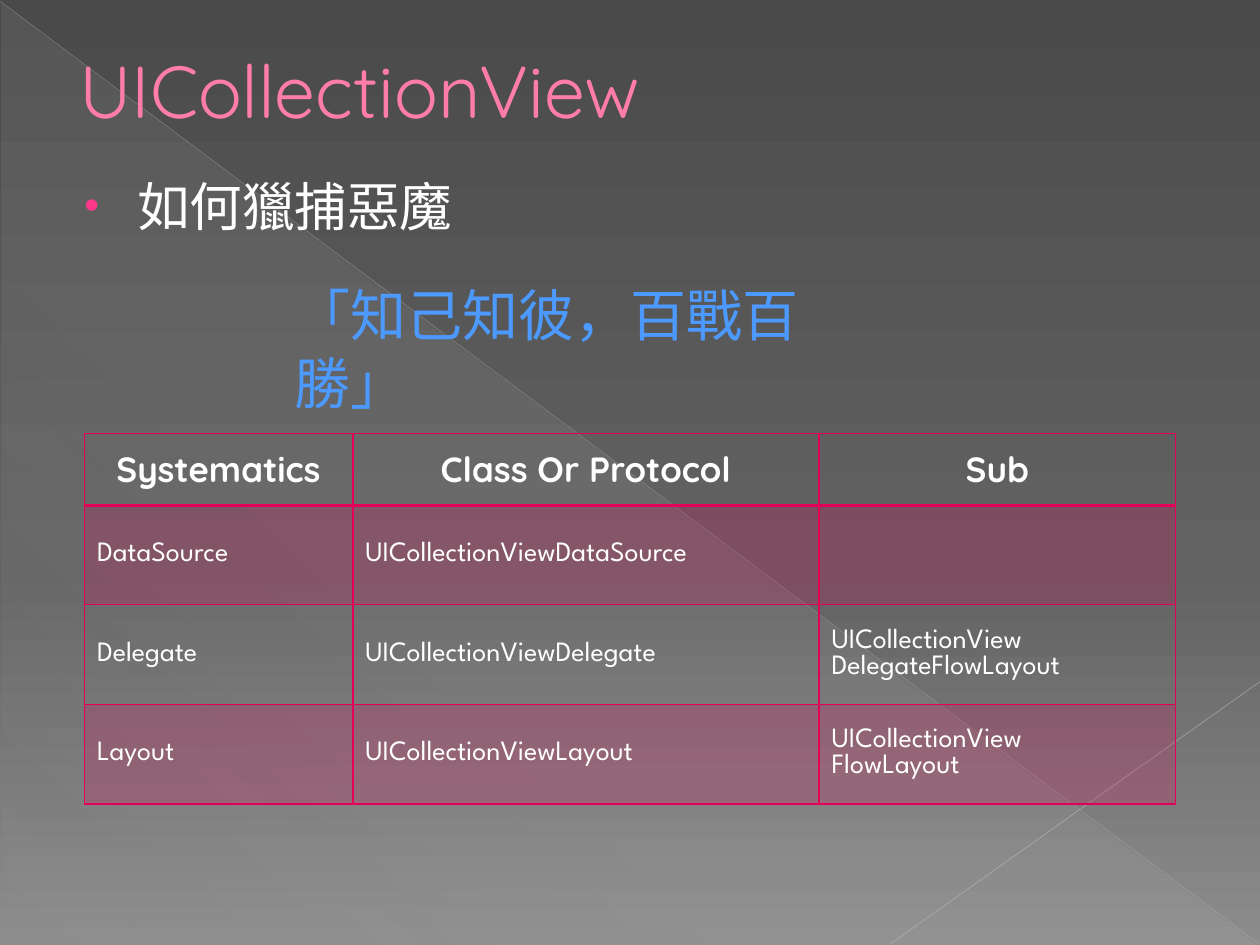
import lxml.etree
import pptx
import pptx.dml.color
import pptx.enum.shapes
import pptx.enum.text
import pptx.oxml.ns
import pptx.util

Inches, Pt = pptx.util.Inches, pptx.util.Pt
qn = pptx.oxml.ns.qn
ALIGN = pptx.enum.text.PP_ALIGN
ANCHOR = pptx.enum.text.MSO_ANCHOR
AUTO_SIZE = pptx.enum.text.MSO_AUTO_SIZE

COLORS = {
    "dark": "4A4A4A", "middle": "626262", "light": "8C8C8C",
    "veil": "D2D2D2", "diagonal": "BFBFBF", "corner": "C6C6C6",
    "title": "FF7DA7", "title_edge": "B12761", "bullet": "FF388C",
    "text": "FFFFFF", "quote": "4C99FF", "grid": "E40059",
}


def rgb(name):
    return pptx.dml.color.RGBColor.from_string(COLORS[name])


def add_node(parent, tag, **attributes):
    values = {key: str(value) for key, value in attributes.items()}
    return lxml.etree.SubElement(parent, qn(tag), values)


def add_color(parent, name, opacity=100):
    color = add_node(parent, "a:srgbClr", val=COLORS[name])
    if opacity < 100:
        add_node(color, "a:alpha", val=opacity * 1000)


def fade(solid_fill, opacity):
    add_node(solid_fill.find(qn("a:srgbClr")), "a:alpha", val=opacity * 1000)


def write(frame, text, size, font="Quicksand", color="text", bold=False,
          align=ALIGN.LEFT, indent=0, hanging=0, bullet=None, edge=None):
    """Put text in a frame, one paragraph a line."""
    for number, line in enumerate(text.split("\n")):
        para = frame.paragraphs[0] if number == 0 else frame.add_paragraph()
        para.alignment = align
        para.space_before = Pt(0)
        properties = para._p.get_or_add_pPr()
        properties.set("marL", str(Inches(indent)))
        properties.set("indent", str(Inches(-hanging)))
        if bullet:
            add_color(add_node(properties, "a:buClr"), "bullet")
            add_node(properties, "a:buSzPct", val=80000)
            add_node(properties, "a:buChar", char=bullet)
        span = para.add_run()
        span.text = line
        if edge:
            outline = add_node(span._r.get_or_add_rPr(), "a:ln", w=Pt(0.5))
            add_color(add_node(outline, "a:solidFill"), edge)
        span.font.size = Pt(size)
        span.font.name = font
        span.font.bold = bold
        span.font.color.rgb = rgb(color)


class Slide:
    def __init__(self, deck):
        self.page = deck.slides.add_slide(deck.slide_layouts[1])
        self.shapes = self.page.shapes

    def gradient(self, fill, owner, stops, angle):
        fill.gradient()
        gradient = next(owner.iter(qn("a:gradFill")))
        for child in list(gradient):
            gradient.remove(child)
        stop_list = add_node(gradient, "a:gsLst")
        for position, color, opacity in stops:
            stop = add_node(stop_list, "a:gs", pos=position * 1000)
            add_color(stop, color, opacity)
        add_node(gradient, "a:lin", ang=angle * 60000, scaled=0)

    def background(self, stops, angle):
        self.gradient(self.page.background.fill, self.page.element, stops, angle)

    def triangle(self, left, top, width, height, stops, angle):
        shape = self.shapes.add_shape(
            pptx.enum.shapes.MSO_SHAPE.RIGHT_TRIANGLE,
            Inches(left), Inches(top), Inches(width), Inches(height))
        shape.shadow.inherit = False
        shape.line.fill.background()
        self.gradient(shape.fill, shape.element.spPr, stops, angle)

    def line(self, start, end, color, width, opacity):
        connector = self.shapes.add_connector(
            pptx.enum.shapes.MSO_CONNECTOR.STRAIGHT,
            *[Inches(value) for value in (*start, *end)])
        connector.line.width = Pt(width)
        connector.line.color.rgb = rgb(color)
        properties = connector.element.spPr
        fade(next(properties.iter(qn("a:solidFill"))), opacity)
        add_node(properties, "a:effectLst")

    def placeholder(self, index, left, top, width, height, text, anchor, **style):
        box = self.page.placeholders[index]
        box.left, box.top = Inches(left), Inches(top)
        box.width, box.height = Inches(width), Inches(height)
        box.text_frame.auto_size = AUTO_SIZE.NONE
        box.text_frame.vertical_anchor = anchor
        write(box.text_frame, text, **style)
        self.shapes.element.append(box.element)  # in front of the backdrop

    def text(self, left, top, width, height, text, **style):
        box = self.shapes.add_textbox(
            Inches(left), Inches(top), Inches(width), Inches(height))
        box.text_frame.word_wrap = True
        box.text_frame.auto_size = AUTO_SIZE.SHAPE_TO_FIT_TEXT
        write(box.text_frame, text, **style)

    def border(self, cell, **widths):
        properties = cell._tc.get_or_add_tcPr()
        for side in "LRTB":
            edge = add_node(properties, f"a:ln{side}", w=Pt(widths.get(side, 1)))
            add_color(add_node(edge, "a:solidFill"), "grid")

    def table(self, left, top, columns, heights, rows):
        table = self.shapes.add_table(
            len(rows), len(columns), Inches(left), Inches(top),
            Inches(sum(columns)), Inches(sum(heights))).table
        table.first_row = table.horz_banding = False
        for column, width in zip(table.columns, columns):
            column.width = Inches(width)
        for row, height in zip(table.rows, heights):
            row.height = Inches(height)
        header = dict(size=20, bold=True, align=ALIGN.CENTER)
        body = dict(size=16, font="League Spartan")
        for r, texts in enumerate(rows):
            for c, text in enumerate(texts):
                cell = table.cell(r, c)
                cell.vertical_anchor = ANCHOR.MIDDLE
                self.border(cell, B=2 if r == 0 else 1, T=2 if r == 1 else 1)
                if r % 2:
                    cell.fill.solid()
                    cell.fill.fore_color.rgb = rgb("grid")
                    fade(cell._tc.tcPr.find(qn("a:solidFill")), 20)
                else:
                    cell.fill.background()
                if text:
                    write(cell.text_frame, text, **(body if r else header))


def main():
    deck = pptx.Presentation()
    deck.slide_width, deck.slide_height = Inches(10), Inches(7.5)
    slide = Slide(deck)

    # Backdrop
    slide.background(
        [(0, "dark", 100), (60, "middle", 100), (100, "light", 100)], 90)
    slide.triangle(0.01, 0.02, 9.98, 7.48,
                   [(0, "veil", 10), (70, "veil", 8), (100, "veil", 1)], 133)
    slide.line((0, 0.01), (9.99, 7.49), "diagonal", 0.39, 35)
    slide.line((10, 5.41), (7.07, 7.49), "corner", 0.47, 45)

    # Title, topic and quotation
    slide.placeholder(0, 0, 0.31, 6.14, 0.8, "UICollectionView", ANCHOR.MIDDLE,
                      size=42, color="title", indent=0.53, edge="title_edge")
    slide.placeholder(1, 0.5, 1.33, 9, 0.63, "如何獵捕惡魔", ANCHOR.TOP,
                      size=30, indent=0.49, hanging=0.42, bullet="•")
    slide.text(2.24, 2.18, 5.04, 0.64, "「知己知彼，百戰百勝」",
               size=32, color="quote")

    # Class table
    slide.table(0.67, 3.44, [2.13, 3.7, 2.83], [0.57] + [0.79] * 3, [
        ("Systematics", "Class Or Protocol", "Sub"),
        ("DataSource", "UICollectionViewDataSource", ""),
        ("Delegate", "UICollectionViewDelegate",
         "UICollectionView\nDelegateFlowLayout"),
        ("Layout", "UICollectionViewLayout", "UICollectionView\nFlowLayout"),
    ])

    deck.save("out.pptx")


if __name__ == "__main__":
    main()
